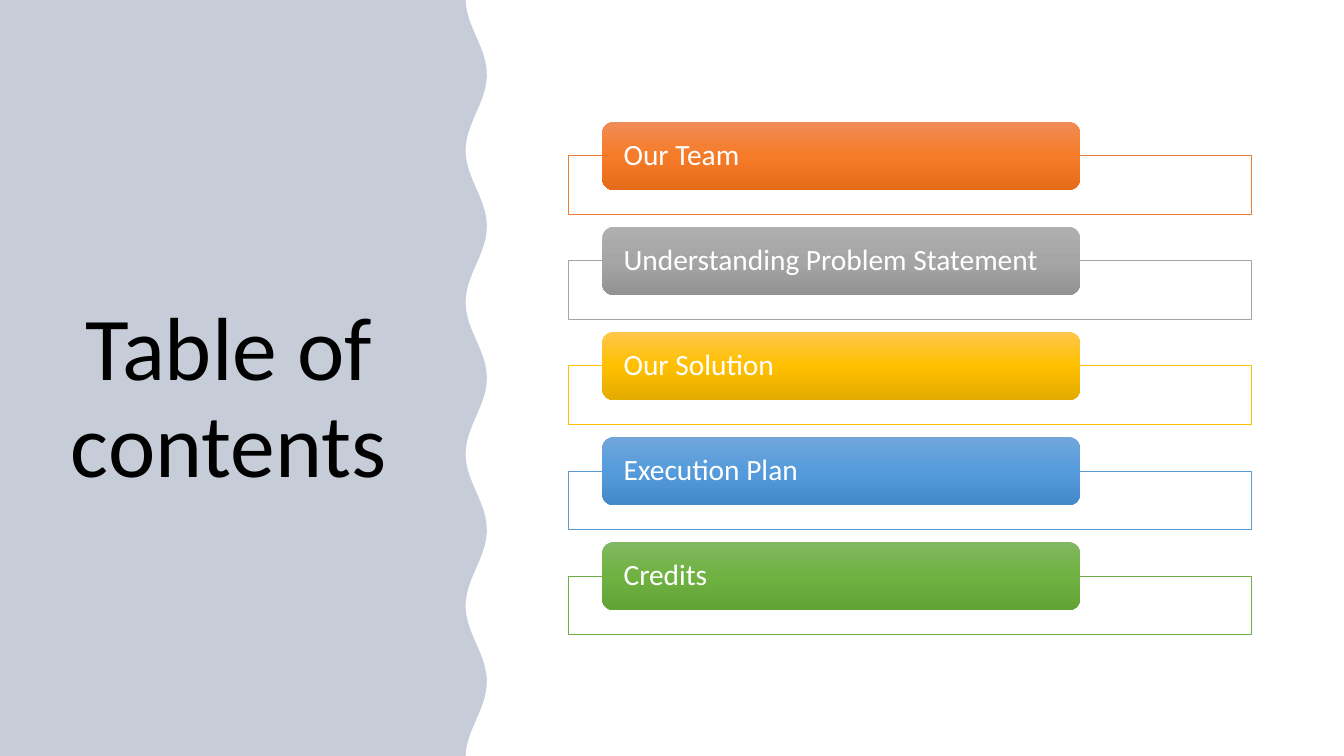
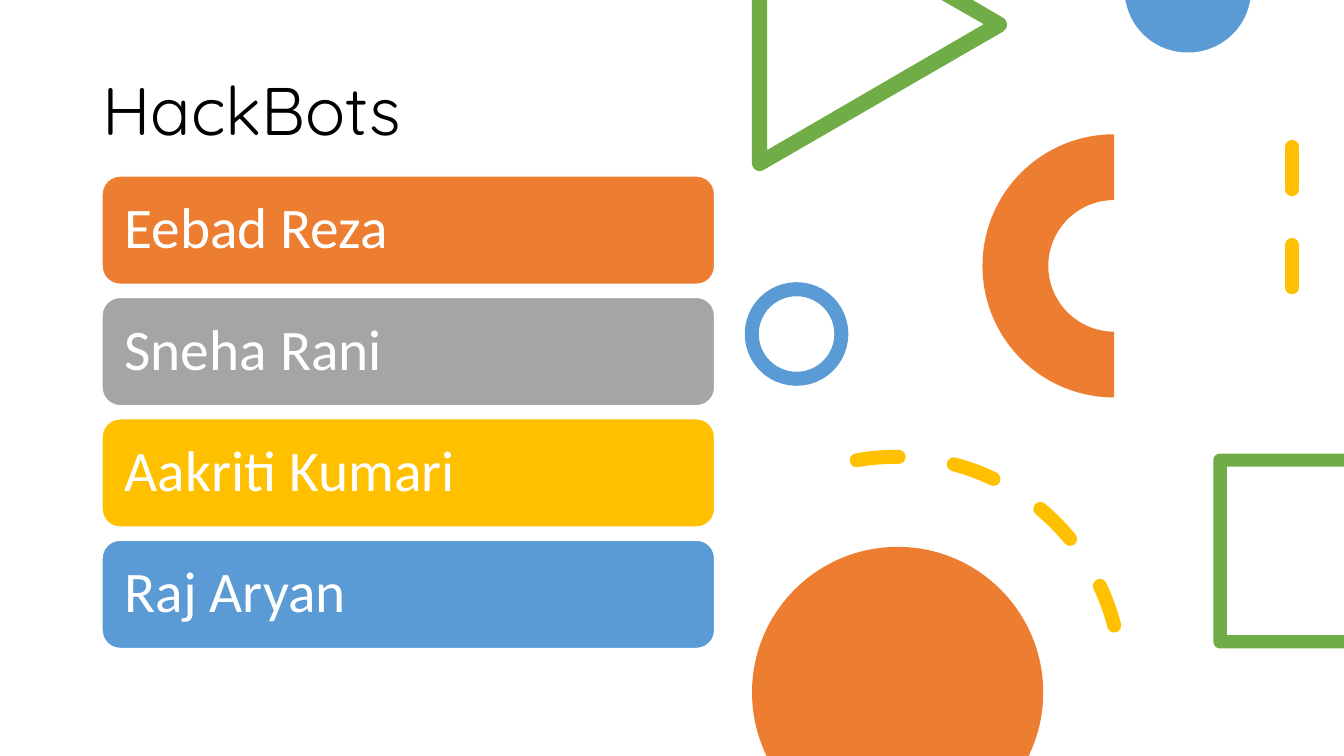
"""Build a contents slide and a team slide with shared colours and type."""
from copy import deepcopy
from dataclasses import dataclass
from math import cos, pi

from pptx import Presentation
from pptx.dml.color import RGBColor
from pptx.enum.dml import MSO_LINE
from pptx.enum.shapes import MSO_CONNECTOR, MSO_SHAPE as Kind
from pptx.enum.text import MSO_ANCHOR as Anchor, MSO_AUTO_SIZE, PP_ALIGN as Align
from pptx.oxml.ns import qn
from pptx.oxml.xmlchemy import OxmlElement
from pptx.util import Pt


@dataclass(frozen=True)
class Theme:
    orange: str = "ED7D31"
    gray: str = "A5A5A5"
    gold: str = "FFC000"
    blue: str = "5B9BD5"
    green: str = "70AD47"
    navy: str = "203864"
    white: str = "FFFFFF"
    black: str = "000000"
    body: str = "Calibri"
    head: str = "Quicksand"
    cover: int = 64
    title: int = 48
    name: int = 41
    item: int = 21


def paint(shape, fill=None, edge=None, weight=1, alpha=100, dash=False):
    shape.shadow.inherit = False
    if fill:
        shape.fill.solid()
        shape.fill.fore_color.rgb = RGBColor.from_string(fill)
        if alpha < 100:
            tone = shape.element.spPr.find(".//" + qn("a:srgbClr"))
            veil = OxmlElement("a:alpha")
            veil.set("val", str(alpha * 1000))
            tone.append(veil)
    else:
        shape.fill.background()
    if edge:
        shape.line.color.rgb = RGBColor.from_string(edge)
        shape.line.width = Pt(weight)
    else:
        shape.line.fill.background()
    if dash:
        shape.line.dash_style = MSO_LINE.DASH
        shape.element.spPr.find(qn("a:ln")).set("cap", "rnd")


def trace(page, steps):
    pairs = [(Pt(x), Pt(y)) for step in steps for x, y in zip(step[::2], step[1::2])]
    pen = page.shapes.build_freeform(*pairs[0], scale=1.0)
    pen.add_line_segments(pairs[1:], close=True)
    form = pen.convert_to_shape()
    route = form.element.spPr.find(".//" + qn("a:path"))
    knots = iter(route.findall(qn("a:lnTo")))
    for step in steps[1:]:
        knot = next(knots)
        if len(step) == 6:
            curve = OxmlElement("a:cubicBezTo")
            knot.addprevious(curve)
            for part in (knot, next(knots), next(knots)):
                curve.append(part[0])
                route.remove(part)
    return form


look = Theme()
hues = [look.orange, look.gray, look.gold, look.blue, look.green]
deck = Presentation()
deck.slide_width, deck.slide_height = Pt(960), Pt(540)
plan, team = [deck.slides.add_slide(deck.slide_layouts[5]) for _ in range(2)]
labels = []

heads = [
    (plan, "Table of contents", (35.8, 57.4, 255, 301), Anchor.BOTTOM, Align.CENTER,
     look.body, look.cover),
    (team, "HackBots", (66, 28.75, 438, 104.4), Anchor.MIDDLE, Align.LEFT,
     look.head, look.title),
]
for page, text, box, anchor, align, face, size in heads:
    title = page.shapes.title
    for side, value in zip(("left", "top", "width", "height"), box):
        setattr(title, side, Pt(value))
    labels.append((title, text, 7.2, anchor, align, face, size, look.black))

wave = [(340.2 + 7.6 * cos(2 * pi * (y - 53.3) / 108.4), y) for y in range(0, 541, 5)]
panel = [(0, 0), *wave, (0, 540)]
cap = [
    (803.8, 0), (893.2, 0), (892.8, 1.4),
    (888.6, 22.5, 870.2, 37.5, 848.5, 37.5), (826.8, 37.5, 808.4, 22.5, 804.2, 1.4),
]
wedge = [
    (537.1, 0), (547.9, 0), (547.9, 107.3), (702.7, 17.3), (672.5, 0), (694.8, 0),
    (716.5, 12.7), (719.2, 14.3, 720.1, 17.8, 718.6, 20.5),
    (718.1, 21.4, 717.3, 22.2, 716.5, 22.6), (545.2, 121.6),
    (544.5, 122.1, 543.6, 122.3, 542.8, 122.3), (539.6, 122.3, 537.1, 119.7, 537.1, 116.6),
]
frame = [
    (871.5, 324), (960, 324), (960, 333.4), (876.4, 333.4), (876.4, 453.6), (960, 453.6),
    (960, 463.2), (871.5, 463.2), (868.9, 463.2, 866.7, 461, 866.7, 458.4),
    (866.7, 328.6), (866.7, 326, 868.9, 324, 871.5, 324),
]
dome = [
    (641.2, 390.6), (698.6, 390.6, 745.2, 437.2, 745.2, 494.6),
    (745.2, 509, 742.3, 522.6, 737, 535), (734.8, 540), (547.6, 540), (545.4, 535),
    (540.1, 522.6, 537.2, 509, 537.2, 494.6), (537.2, 437.2, 583.8, 390.6, 641.2, 390.6),
]
forms = [
    (plan, panel, look.navy, 25), (team, cap, look.blue, 100),
    (team, wedge, look.green, 100), (team, frame, look.green, 100),
    (team, dome, look.orange, 100),
]
for page, steps, hue, alpha in forms:
    form = trace(page, steps)
    paint(form, hue, alpha=alpha)
    page.shapes.element.insert(2, form.element)

items = [
    ("Our Team", ("F18C57", "F67B28", "E56C19")),
    ("Understanding Problem Statement", ("AFAFAF", "A5A5A5", "939393")),
    ("Our Solution", ("FFC64B", "FFC000", "E3AB00")),
    ("Execution Plan", ("71A6DB", "559BDB", "448ACA")),
    ("Credits", ("81B861", "6FB242", "62A336")),
]
for i, ((text, tones), hue) in enumerate(zip(items, hues)):
    top = 87 + 75.04 * i
    card = plan.shapes.add_shape(Kind.RECTANGLE, Pt(406), Pt(top + 24.2), Pt(487.6), Pt(41.8))
    paint(card, look.white, hue, 0.5, 90)
    tab = plan.shapes.add_shape(
        Kind.ROUNDED_RECTANGLE, Pt(430.2), Pt(top), Pt(341.3), Pt(48.7))
    paint(tab)
    tab.fill.gradient()
    tab.fill.gradient_angle = 270
    ramp = tab.element.spPr.find(".//" + qn("a:gsLst"))
    ramp.append(deepcopy(ramp[0]))
    for stop, place, tone in zip(tab.fill.gradient_stops, (0, 0.5, 1), tones):
        stop.position = place
        stop.color.rgb = RGBColor.from_string(tone)
    labels.append((tab, text, 12.9, Anchor.MIDDLE, Align.LEFT,
                   look.body, look.item, look.white))

names = ["Eebad Reza", "Sneha Rani", "Aakriti Kumari", "Raj Aryan"]
for i, (text, hue) in enumerate(zip(names, hues)):
    bar = team.shapes.add_shape(
        Kind.ROUNDED_RECTANGLE, Pt(72.9), Pt(125.7 + 86.7 * i), Pt(437.6), Pt(77.4))
    paint(bar, hue, look.white)
    labels.append((bar, text, 12.3, Anchor.MIDDLE, Align.LEFT,
                   look.body, look.name, look.white))

decor = [
    (Kind.OVAL, (537, 206.6, 64, 64), 0, dict(edge=look.blue, weight=10)),
    (Kind.BLOCK_ARC, (701.8, 95.9, 188, 188), 270, dict(fill=look.orange)),
    (Kind.ARC, (479.3, 326.3, 321.8, 321.8), 349.9,
     dict(edge=look.gold, weight=10, dash=True)),
]
for kind, box, turn, style in decor:
    mark = team.shapes.add_shape(kind, *map(Pt, box))
    mark.rotation = turn
    paint(mark, **style)

dashes = team.shapes.add_connector(
    MSO_CONNECTOR.STRAIGHT, Pt(923), Pt(105), Pt(923), Pt(230.4))
dashes.line.color.rgb = RGBColor.from_string(look.gold)
dashes.line.width = Pt(10)
dashes.line.dash_style = MSO_LINE.DASH
dashes.element.spPr.find(qn("a:ln")).set("cap", "rnd")
dashes.element.spPr.append(OxmlElement("a:effectLst"))

for shape, text, inset, anchor, align, face, size, tint in labels:
    body = shape.text_frame
    body.text = text
    line = body.paragraphs[0]
    formats = [
        (body, dict(word_wrap=True, auto_size=MSO_AUTO_SIZE.NONE, vertical_anchor=anchor,
                    margin_left=Pt(inset), margin_right=Pt(inset),
                    margin_top=Pt(3.6), margin_bottom=Pt(3.6))),
        (line, dict(alignment=align, line_spacing=0.9)),
        (line.runs[0].font, dict(name=face, size=Pt(size))),
    ]
    for target, values in formats:
        for key, value in values.items():
            setattr(target, key, value)
    line.runs[0].font.color.rgb = RGBColor.from_string(tint)

deck.save("out.pptx")
